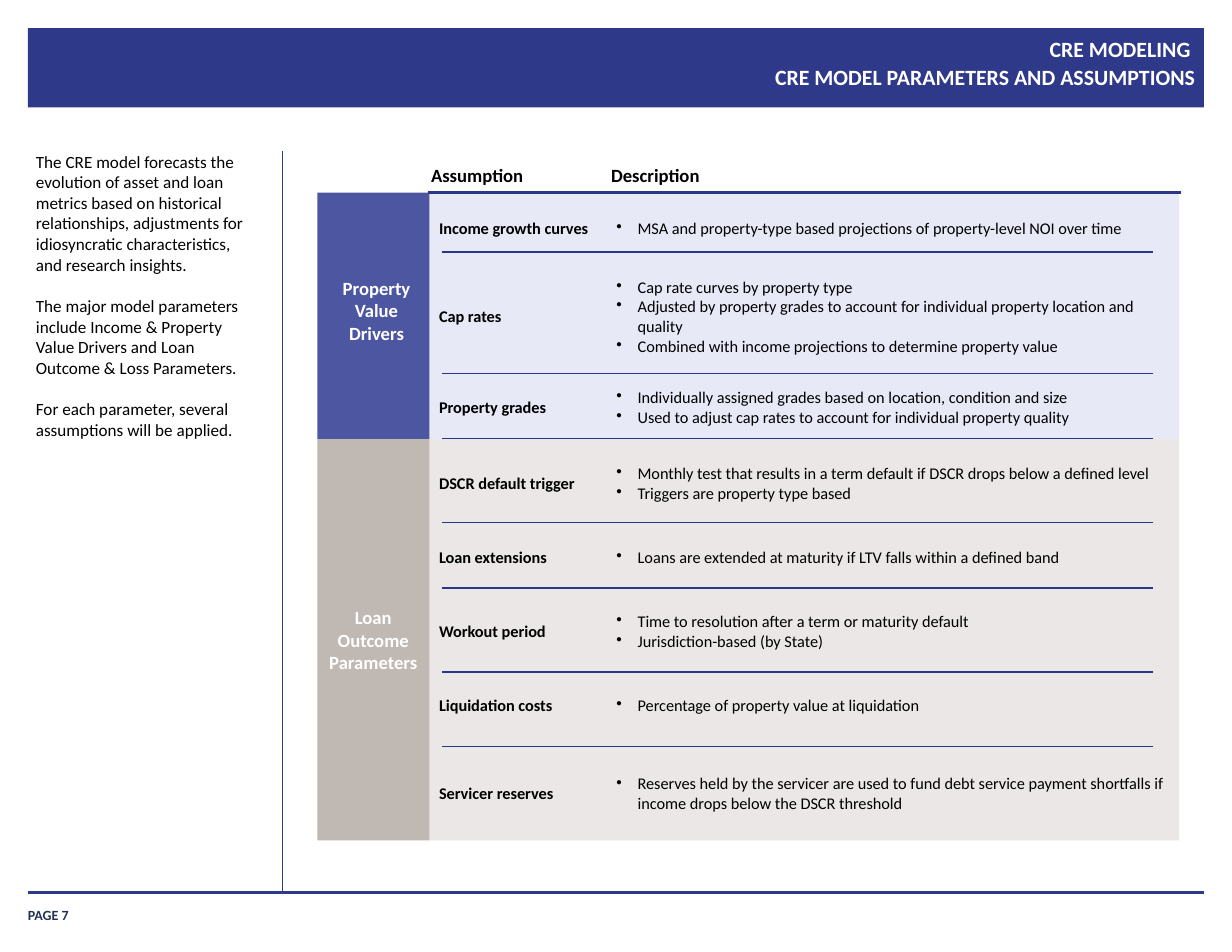
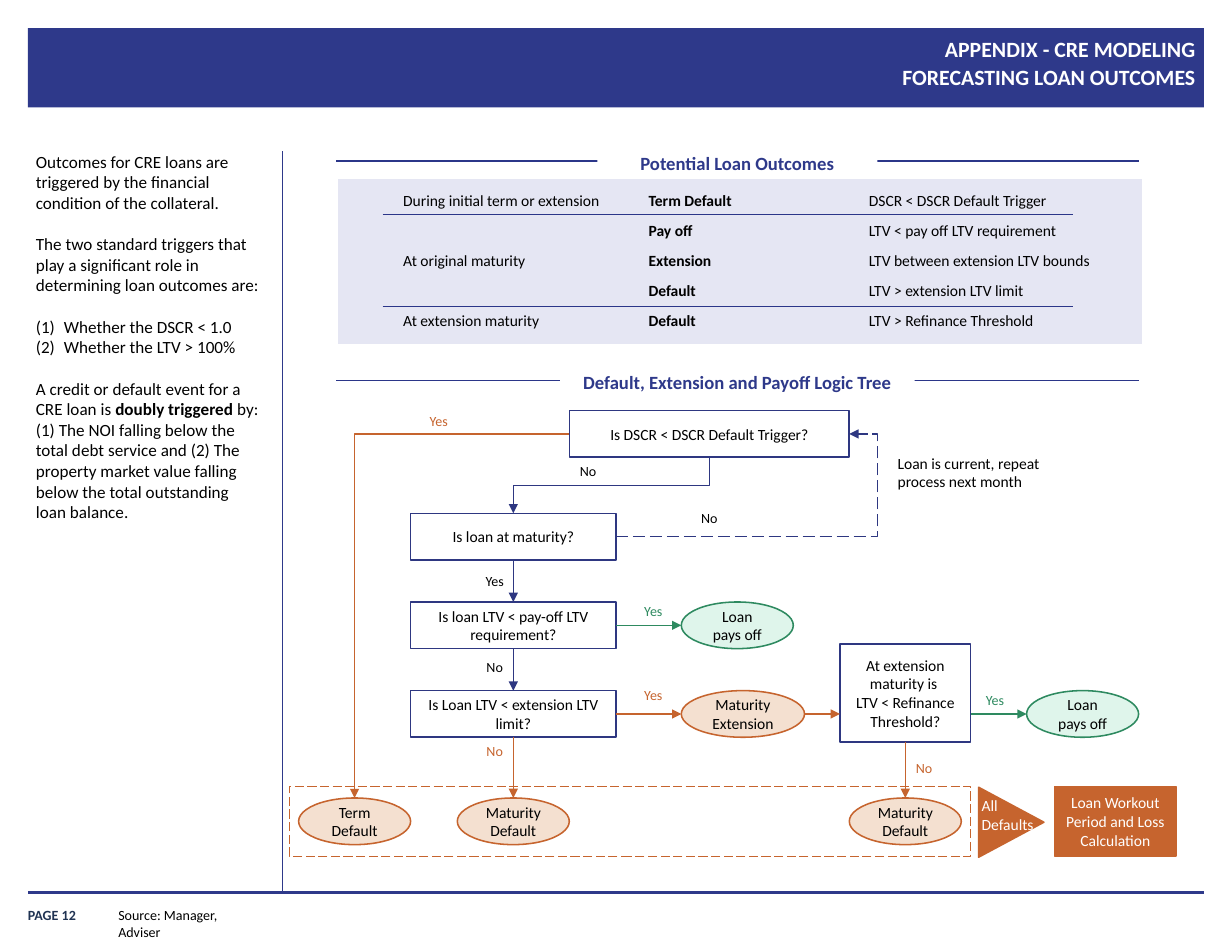
"""Builds two slides on CRE model assumptions and loan outcome logic."""
from lxml import etree
from pptx import Presentation
from pptx import util as u
from pptx.dml.color import RGBColor
from pptx.enum import dml, shapes, text
from pptx.oxml import ns

COLS, ROWS = 132, 102
CELL = u.Inches(11) / COLS
C = {
    "band": "2E398A", "rule": "2B3689", "box": "2E3781", "page": "203353",
    "black": "000000", "white": "FFFFFF",
    "value": "4C56A1", "value_pale": "E7E9F7",
    "loan": "C0B8B3", "loan_pale": "EAE7E6", "outcomes": "E5E6F3",
    "green": "2E8A60", "green_pale": "DFF5EB",
    "orange": "C6642E", "orange_pale": "F4E0D0",
}
FONT = "Calibri"
NO_GRID = "{2D5ABB26-0587-4C30-8999-92F81FD0307C}"
S = shapes.MSO_SHAPE
LEFT, CENTER, RIGHT = text.PP_ALIGN.LEFT, text.PP_ALIGN.CENTER, text.PP_ALIGN.RIGHT
TOP, MIDDLE, BOTTOM = text.MSO_ANCHOR.TOP, text.MSO_ANCHOR.MIDDLE, text.MSO_ANCHOR.BOTTOM
FLUSH = (0, 0, 0, 0)
PADDED = (1.2, 0.6, 1.2, 0.6)


def g(*cells):
    """Turn grid cells into lengths."""
    return [u.Emu(round(n * CELL)) for n in cells]


def rgb(name):
    """Look up a palette colour."""
    return RGBColor.from_string(C[name])


def write(tf, paras, size=10, color="black", bold=False, align=LEFT, spacing=None):
    """Fill a text frame; a paragraph is a string or a list of (text, bold) runs."""
    for i, para in enumerate(paras):
        p = tf.paragraphs[0] if i == 0 else tf.add_paragraph()
        p.alignment = align
        if spacing:
            p.line_spacing = spacing
        for words, strong in [(para, bold)] if isinstance(para, str) else para:
            r = p.add_run()
            r.text = words
            for key, value in {"name": FONT, "size": u.Pt(size), "bold": strong}.items():
                setattr(r.font, key, value)
            r.font.color.rgb = rgb(color)


def frame(tf, anchor=TOP, inset=PADDED, wrap=True):
    """Set the anchor, insets and wrapping of a text frame."""
    sides = ("margin_left", "margin_top", "margin_right", "margin_bottom")
    values = dict(zip(sides, g(*inset)), vertical_anchor=anchor, word_wrap=wrap)
    for key, value in values.items():
        setattr(tf, key, value)


def label(s, at, paras, anchor=TOP, inset=PADDED, wrap=True, **fmt):
    """Add a text box."""
    tf = s.shapes.add_textbox(*g(*at)).text_frame
    frame(tf, anchor, inset, wrap)
    write(tf, paras, **fmt)
    return tf


def stroke(line, color, width, dash=False):
    """Style an outline or a connector line."""
    line.color.rgb = rgb(color)
    line.width = u.Pt(width)
    if dash:
        line.dash_style = dml.MSO_LINE.LONG_DASH


def block(s, at, paras=(), kind=S.RECTANGLE, fill=None, line=None, width=1, dash=False,
          anchor=MIDDLE, inset=PADDED, **fmt):
    """Add a preset shape, with centred text if any."""
    sp = s.shapes.add_shape(kind, *g(*at))
    sp.shadow.inherit = False
    if fill:
        sp.fill.solid()
        sp.fill.fore_color.rgb = rgb(fill)
    else:
        sp.fill.background()
    if line:
        stroke(sp.line, line, width, dash)
    else:
        sp.line.fill.background()
    frame(sp.text_frame, anchor, inset)
    write(sp.text_frame, paras, align=CENTER, **fmt)
    return sp


def rule(s, x1, y1, x2, y2, color="rule", width=0.75, kind=shapes.MSO_CONNECTOR.STRAIGHT,
         arrow=False, dash=False):
    """Add a line, with an arrowhead at its end on request."""
    c = s.shapes.add_connector(kind, *g(x1, y1, x2, y2))
    stroke(c.line, color, width, dash)
    if arrow:
        etree.SubElement(c.line._get_or_add_ln(), ns.qn("a:tailEnd"), type="triangle")
    etree.SubElement(c._element.spPr, ns.qn("a:effectLst"))
    return c


def elbow(s, start, start_site, end, end_site, color, preset="bentConnector3",
          adjust=None, downward=False, dash=False):
    """Join two shapes with a bent arrow."""
    c = rule(s, 0, 0, 1, 1, color, 1, shapes.MSO_CONNECTOR.ELBOW, True, dash)
    c.begin_connect(start, start_site)
    c.end_connect(end, end_site)
    geom = c._element.spPr.find(ns.qn("a:prstGeom"))
    geom.set("prst", preset)
    if adjust:
        guides = geom.find(ns.qn("a:avLst"))
        etree.SubElement(guides, ns.qn("a:gd"), name="adj1", fmla=f"val {adjust}")
    if downward:
        x, y, w, h = c.left, c.top, c.width, c.height
        c.left, c.top = x + (w - h) // 2, y + (h - w) // 2
        c.width, c.height = h, w
        c._element.spPr.xfrm.flipH = False
        c._element.spPr.xfrm.set("rot", "5400000")


def bullet(p, indent, tag, **attrs):
    """Give a paragraph a hanging bullet or number."""
    pPr = p._p.get_or_add_pPr()
    pPr.set("marL", str(u.Inches(indent)))
    pPr.set("indent", str(-u.Inches(indent)))
    etree.SubElement(pPr, ns.qn(tag), **attrs)


def plain_table(s, x, y, widths, heights):
    """Add a table without style, banding or fills."""
    size = g(x, y, sum(widths), sum(heights))
    t = s.shapes.add_table(len(heights), len(widths), *size).table
    t.first_row = t.horz_banding = False
    t._tbl.tblPr[0].text = NO_GRID
    for col, w in zip(t.columns, g(*widths)):
        col.width = w
    for row, h in zip(t.rows, g(*heights)):
        row.height = h
        for cell in row.cells:
            cell.fill.background()
    return t


def base_slide(prs, title, page, body, gaps):
    """Add a slide with band, title, page number, rules and side text."""
    s = prs.slides.add_slide(prs.slide_layouts[6])
    block(s, (3, 3, 126, 8.5), fill="band")
    label(s, (3, 96.1, 11, 2.8), [f"PAGE {page}"], BOTTOM, FLUSH, size=9, color="page", bold=True)
    rule(s, 3, 95.65, 129, 95.65, "band", 2.25)
    rule(s, 30.24, 16.2, 30.24, 95.7, "band", 0.5)
    label(s, (38, 3.5, 90.1, 8), title, inset=FLUSH, size=14, color="white", bold=True,
          align=RIGHT, spacing=1.1)
    tf = label(s, (3.84, 16.2, 24.1, 34), body, inset=FLUSH, size=11)
    for i in gaps:
        tf.paragraphs[i].space_before = u.Pt(13.4)
    return s, tf


def assumptions_slide(prs):
    """Build the slide of model parameters and assumptions."""
    s, _ = base_slide(prs, ["CRE MODELING ", "CRE MODEL PARAMETERS AND ASSUMPTIONS"], 7, [
        "The CRE model forecasts the evolution of asset and loan metrics based on historical "
        "relationships, adjustments for idiosyncratic characteristics, and research insights.",
        "The major model parameters include Income & Property Value Drivers and Loan Outcome "
        "& Loss Parameters.",
        "For each parameter, several assumptions will be applied."], (1, 2))
    top, left = 20.64, 45.84
    groups = [("Property Value Drivers", "value", 26.4, (1.6, 0, 0.9, 1.2)),
              ("Loan Outcome Parameters", "loan", 43, PADDED)]
    y = top
    for name, color, h, inset in groups:
        block(s, (left, y, 80.5, h), fill=f"{color}_pale")
        block(s, (34, y, 12, h), [name], fill=color, inset=inset,
              size=12, color="white", bold=True)
        y += h
    low, mid, high = 7.7, 8.15, 11.28
    rows = [
        ("Income growth curves", low,
         ["MSA and property-type based projections of property-level NOI over time"]),
        ("Cap rates", high,
         ["Cap rate curves by property type",
          "Adjusted by property grades to account for individual property location and quality",
          "Combined with income projections to determine property value"]),
        ("Property grades", mid,
         ["Individually assigned grades based on location, condition and size",
          "Used to adjust cap rates to account for individual property quality"]),
        ("DSCR default trigger", mid,
         ["Monthly test that results in a term default if DSCR drops below a defined level",
          "Triggers are property type based"]),
        ("Loan extensions", low,
         ["Loans are extended at maturity if LTV falls within a defined band"]),
        ("Workout period", mid,
         ["Time to resolution after a term or maturity default", "Jurisdiction-based (by State)"]),
        ("Liquidation costs", low, ["Percentage of property value at liquidation"]),
        ("Servicer reserves", high,
         ["Reserves held by the servicer are used to fund debt service payment shortfalls if "
          "income drops below the DSCR threshold"]),
    ]
    t = plain_table(s, left, top, (19, 62), [h for _, h, _ in rows])
    for row, (name, _, points) in zip(t.rows, rows):
        for cell, paras, bold in zip(row.cells, ([name], points), (True, False)):
            cell.vertical_anchor = MIDDLE
            write(cell.text_frame, paras, size=10.5, bold=bold)
        for p in row.cells[1].text_frame.paragraphs:
            bullet(p, 0.19, "a:buChar", char="•")
    for x, name in ((45, "Assumption"), (64.3, "Description")):
        label(s, (x, 17, 27.5, 3.6), [name], size=12, bold=True)
    rule(s, left, top, 126.5, top, width=2.25)
    for y in (27, 40, 47, 56, 63, 72, 80):
        rule(s, 47.4, y, 123.5, y)


def section_head(s, y, width, name):
    """Add a centred heading that interrupts a rule."""
    rule(s, 36, y, 122, y)
    block(s, (79 - width / 2, y - 1.25, width, 2.5), [name], fill="white", anchor=TOP,
          inset=FLUSH, size=12, color="band", bold=True, spacing=1.1)


def outcomes_table(s):
    """Add the table of potential loan outcomes."""
    block(s, (36, 19, 86.5, 18), fill="outcomes", line="white", width=2)
    rows = [
        ("During initial term or extension", "Term Default", "DSCR < DSCR Default Trigger"),
        ("At original maturity", "Pay off", "LTV < pay off LTV requirement"),
        ("", "Extension", "LTV between extension LTV bounds"),
        ("", "Default", "LTV > extension LTV limit"),
        ("At extension maturity", "Default", "LTV > Refinance Threshold"),
    ]
    t = plain_table(s, 42, 20, (26.3, 23.6, 29), [3.2] * len(rows))
    t.cell(1, 0).merge(t.cell(3, 0))
    t.cell(1, 0).vertical_anchor = MIDDLE
    for row, values in zip(t.rows, rows):
        for i, (cell, value) in enumerate(zip(row.cells, values)):
            if value:
                write(cell.text_frame, [value], bold=i == 1)
    for y in (23, 32.8):
        rule(s, 41, y, 115, y)


def logic_tree(s):
    """Add the decision tree and its outcomes."""
    trigger = block(s, (61, 44, 30, 5), ["Is DSCR < DSCR Default Trigger?"], line="box")
    maturity = block(s, (44, 55, 22, 5), ["Is loan at maturity?"], line="box")
    for y, words in ((64.5, "Is loan LTV < pay-off LTV requirement?"),
                     (74, "Is Loan LTV < extension LTV limit?")):
        block(s, (44, y, 22, 5), [words], line="box")
    block(s, (90, 69, 14, 10.5), ["At extension maturity is ", "LTV < Refinance Threshold?"],
          line="box")
    ends = [(73, 64.5, 12, "green", ["Loan pays off"]), (110, 74, 12, "green", ["Loan pays off"]),
            (73, 74, 13.2, "orange", ["Maturity", "Extension"]),
            (49, 85.5, 12, "orange", ["Maturity Default"]),
            (91, 85.5, 12, "orange", ["Maturity Default"]),
            (32, 85.5, 12, "orange", ["Term Default"])]
    for x, y, w, color, paras in ends:
        term = block(s, (x, y, w, 5), paras, S.OVAL, f"{color}_pale", color)
    elbow(s, trigger, 2, maturity, 0, "box", downward=True)
    elbow(s, maturity, 3, trigger, 3, "box", adjust=112000, dash=True)
    elbow(s, trigger, 1, term, 0, "orange", "bentConnector2")
    for x, y1, y2, color in ((55, 60, 64.5, "box"), (55, 69.5, 74, "box"),
                             (55, 79, 85.5, "orange"), (97, 79.5, 85.5, "orange")):
        rule(s, x, y1, x, y2, color, 1, arrow=True)
    for y, x1, x2, color in ((67, 66, 73, "green"), (76.5, 66, 73, "orange"),
                             (76.5, 86.2, 90, "orange"), (76.5, 104, 110, "green")):
        rule(s, x1, y, x2, y, color, 1, arrow=True)
    answers = [(59, 49, "No", "black"), (72, 54, "No", "black"), (49, 60.7, "Yes", "black"),
               (49, 70, "No", "black"), (66, 64, "Yes", "green"), (66, 73, "Yes", "orange"),
               (102.6, 73.5, "Yes", "green"), (95, 80.8, "No", "orange"),
               (49, 79, "No", "orange"), (43, 43.6, "Yes", "orange")]
    for x, y, word, color in answers:
        label(s, (x, y, 8, 3), [word], size=9, color=color, align=CENTER)
    label(s, (95, 48, 18, 5.3), ["Loan is current, repeat process next month"])
    block(s, (31, 84.25, 73, 7.5), line="orange", width=0.75, dash=True)
    block(s, (113, 84.25, 13, 7.5), ["Loan Workout Period and Loss Calculation"],
          fill="orange", line="orange", color="white")
    pointer = block(s, (104.6, 84.6, 7.5, 7), kind=S.ISOSCELES_TRIANGLE, fill="orange",
                    line="orange")
    pointer.rotation = 90
    label(s, (104, 84.7, 9, 5.3), ["All", "Defaults"], color="white")


def outcomes_slide(prs):
    """Build the slide of loan outcomes and their logic."""
    s, tf = base_slide(prs, ["APPENDIX - CRE MODELING", "FORECASTING LOAN OUTCOMES"], 12, [
        "Outcomes for CRE loans are triggered by the financial condition of the collateral.",
        "The two standard triggers that play a significant role in determining loan outcomes are:",
        "Whether the DSCR < 1.0",
        "Whether the LTV > 100%",
        [("A credit or default event for a CRE loan is ", False), ("doubly triggered ", True),
         ("by: (1) The NOI falling below the total debt service and (2) The property market "
          "value falling below the total outstanding loan balance.", False)]], (1, 2, 4))
    for p in tf.paragraphs[2:4]:
        bullet(p, 0.25, "a:buAutoNum", type="arabicParenBoth")
    section_head(s, 17.25, 30, "Potential Loan Outcomes")
    outcomes_table(s)
    section_head(s, 40.75, 38, "Default, Extension and Payoff Logic Tree")
    logic_tree(s)
    label(s, (11.5, 96.5, 17, 3), ["Source: Manager, Adviser"], wrap=False, size=9)


def main():
    """Build and save the presentation."""
    prs = Presentation()
    prs.slide_width, prs.slide_height = g(COLS, ROWS)
    assumptions_slide(prs)
    outcomes_slide(prs)
    prs.save("out.pptx")


if __name__ == "__main__":
    main()
